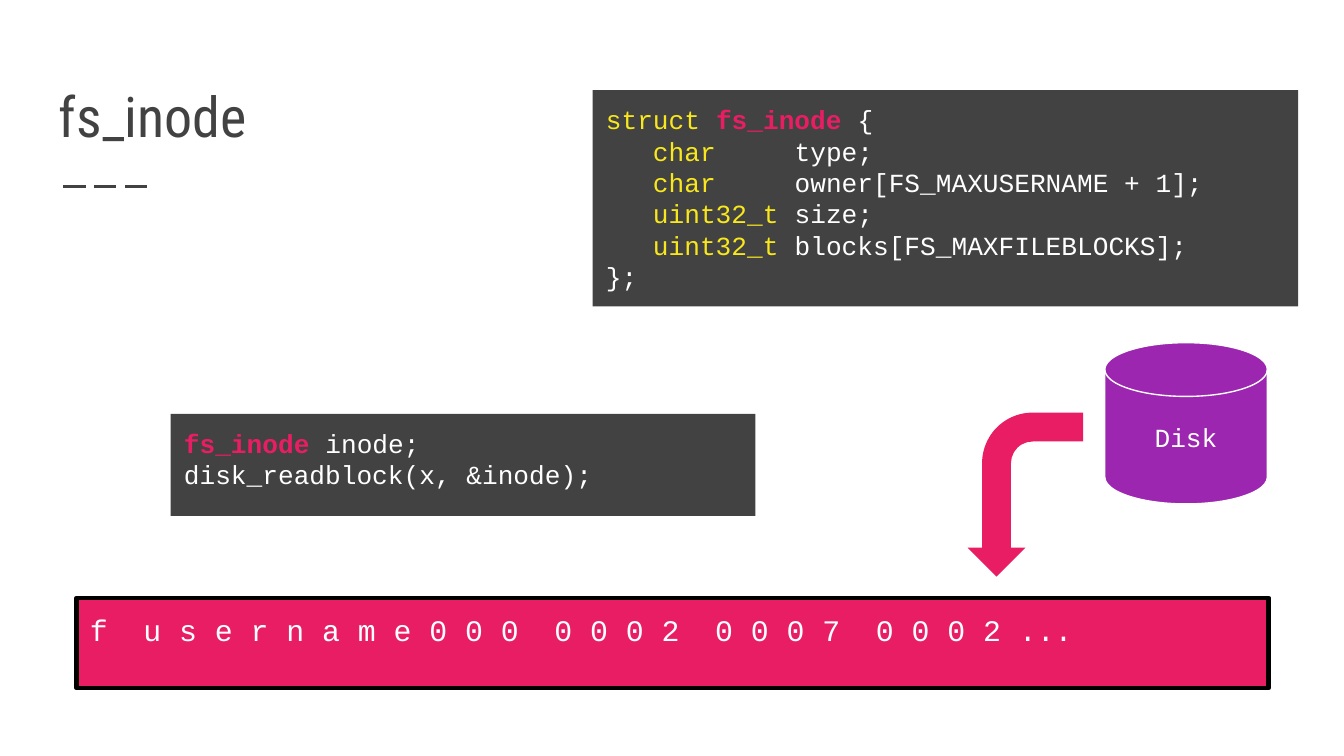
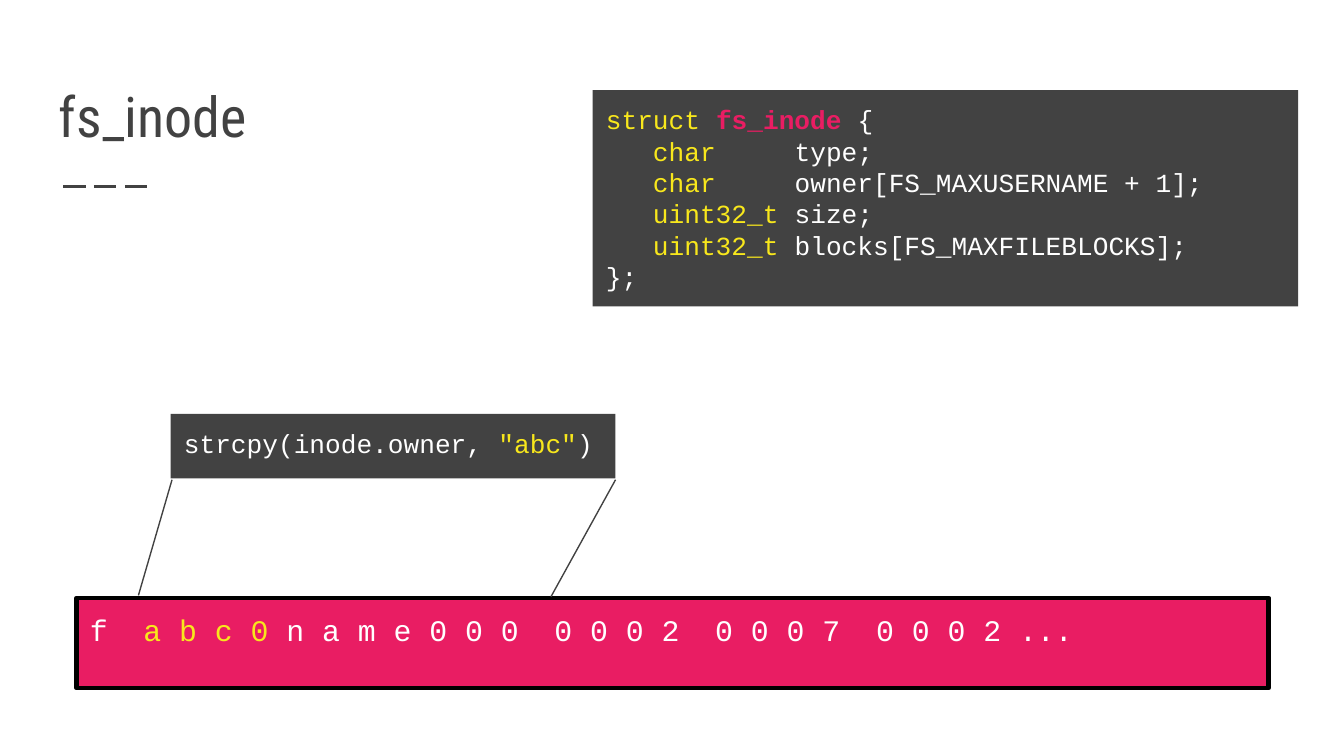
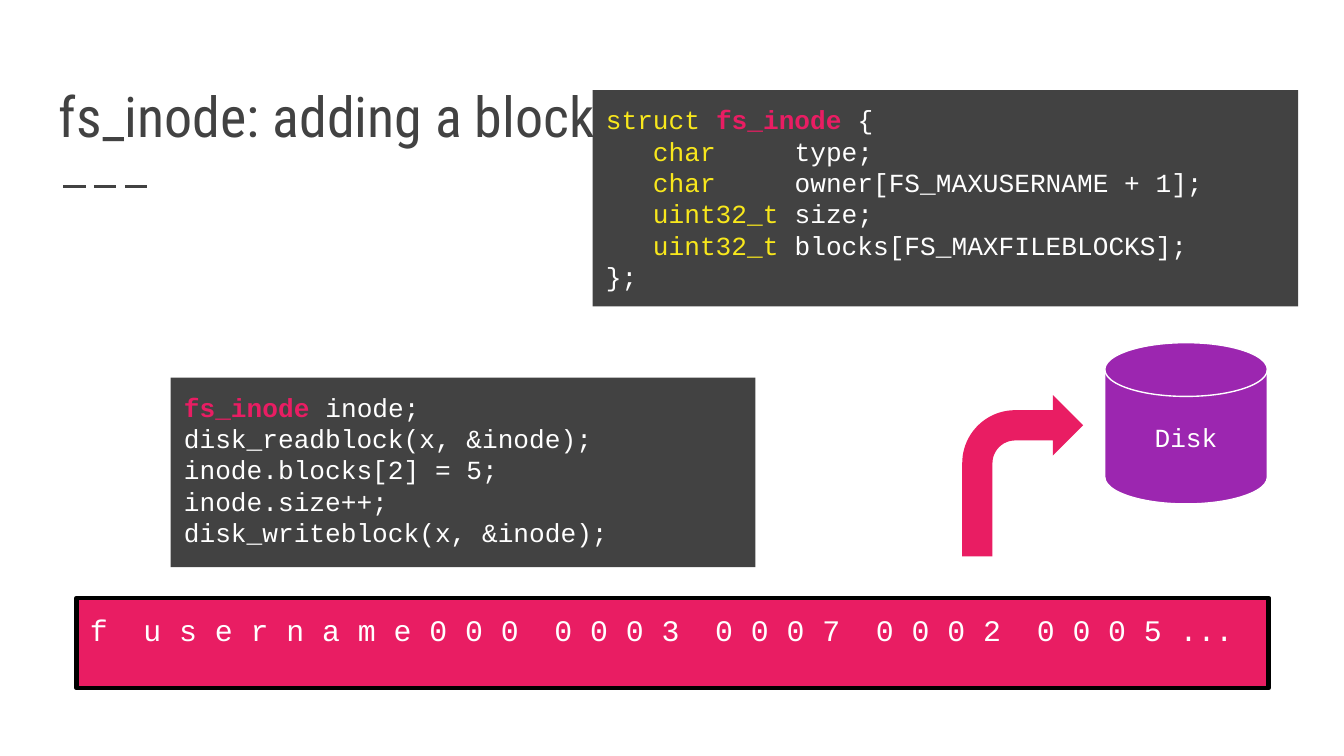
import pptx
import pptx.util
import pptx.dml.color
import pptx.enum.dml
import pptx.enum.shapes
import pptx.enum.text
import pptx.oxml
import pptx.oxml.ns

Inches = pptx.util.Inches
Kind = pptx.enum.shapes.MSO_SHAPE
Anchor = pptx.enum.text.MSO_ANCHOR
Align = pptx.enum.text.PP_ALIGN

# Shared look
DARK, PINK, YELLOW = "424242", "E91D63", "F8E71C"
PURPLE, WHITE, BLACK = "9C26B0", "FFFFFF", "000000"
CODE, HEAD = "Courier New", "Roboto Condensed"

# Code: each line is a list of (text, colour) parts; pink names are bold
STRUCT = [
    [("struct ", YELLOW), ("fs_inode ", PINK), ("{", WHITE)],
    [("   char     ", YELLOW), ("type;", WHITE)],
    [("   char     ", YELLOW), ("owner[FS_MAXUSERNAME + 1];", WHITE)],
    [("   uint32_t ", YELLOW), ("size;", WHITE)],
    [("   uint32_t ", YELLOW), ("blocks[FS_MAXFILEBLOCKS];", WHITE)],
    [("};", WHITE)],
]
READ = [
    [("fs_inode", PINK), (" inode;", WHITE)],
    [("disk_readblock(x, &inode);", WHITE)],
]
COPY = [[("strcpy(inode.owner, ", WHITE), ('"abc"', YELLOW), (")", WHITE)]]
WRITE = READ + [
    [(line, WHITE)] for line in (
        "inode.blocks[2] = 5;", "inode.size++;", "disk_writeblock(x, &inode);")
]


def color(code):
    return pptx.dml.color.RGBColor.from_string(code)


def write(shape, lines, size=14, font=CODE, align=Align.LEFT,
          anchor=Anchor.TOP, right=0.1):
    frame = shape.text_frame
    frame.word_wrap = True
    frame.vertical_anchor = anchor
    frame.margin_left = frame.margin_top = frame.margin_bottom = Inches(0.1)
    frame.margin_right = Inches(right)
    for i, line in enumerate(lines):
        para = frame.add_paragraph() if i else frame.paragraphs[0]
        para.alignment = align
        for text, tint in line:
            run = para.add_run()
            run.text = text
            run.font.name = font
            run.font.size = pptx.util.Pt(size)
            run.font.bold = tint == PINK
            run.font.color.rgb = color(tint)


def add_box(slide, kind, at, fill, line=None, width=0.75):
    shape = slide.shapes.add_shape(kind, *map(Inches, at))
    shape.shadow.inherit = False
    shape.fill.solid()
    shape.fill.fore_color.rgb = color(fill)
    if line:
        shape.line.color.rgb = color(line)
        shape.line.width = pptx.util.Pt(width)
    else:
        shape.line.fill.background()
    return shape


def add_line(slide, start, end, width=0.75, dash=None):
    link = slide.shapes.add_connector(
        pptx.enum.shapes.MSO_CONNECTOR.STRAIGHT, *map(Inches, start + end))
    link.line.color.rgb = color(DARK)
    link.line.width = pptx.util.Pt(width)
    if dash:
        link.line.dash_style = dash
    link.element.spPr.append(pptx.oxml.parse_xml(
        "<a:effectLst %s/>" % pptx.oxml.ns.nsdecls("a")))


def add_code(slide, at, lines):
    write(add_box(slide, Kind.RECTANGLE, at, DARK), lines)


def add_bytes(slide, *parts):
    bar = add_box(slide, Kind.RECTANGLE, (0.57, 4.45, 8.87, 0.67),
                  PINK, BLACK, 2.5)
    write(bar, [parts], size=16, right=0)


def add_disk(slide):
    disk = add_box(slide, Kind.FLOWCHART_MAGNETIC_DISK,
                   (8.22, 2.55, 1.21, 1.2), PURPLE, WHITE)
    write(disk, [[("Disk", WHITE)]], align=Align.CENTER, anchor=Anchor.MIDDLE)


def add_bend(slide, at, down=False):
    bend = add_box(slide, Kind.BENT_ARROW, at, PINK)
    if down:
        bend.rotation = 270
        bend.element.spPr.find(pptx.oxml.ns.qn("a:xfrm")).set("flipH", "1")


def add_slide(deck, title):
    slide = deck.slides.add_slide(deck.slide_layouts[6])
    add_line(slide, (0.47, 1.39), (1.14, 1.39), 1.5,
             pptx.enum.dml.MSO_LINE.LONG_DASH)
    box = slide.shapes.add_textbox(*map(Inches, (0.34, 0.41, 9.32, 0.8)))
    write(box, [[(title, DARK)]], size=30, font=HEAD, anchor=Anchor.BOTTOM)
    add_code(slide, (4.41, 0.67, 5.25, 1.61), STRUCT)
    return slide


def main():
    # Wide page, 16 to 9
    deck = pptx.Presentation()
    deck.slide_width = Inches(10)
    deck.slide_height = Inches(10) * 9 // 16

    # Reading an inode from disk
    slide = add_slide(deck, "fs_inode")
    add_bytes(slide, (
        "f  u s e r n a m e 0 0 0  0 0 0 2  0 0 0 7  0 0 0 2 ...", WHITE))
    add_code(slide, (1.27, 3.08, 4.35, 0.76), READ)
    add_disk(slide)
    add_bend(slide, (7.02, 3.25, 1.22, 0.86), down=True)

    # Changing the owner
    slide = add_slide(deck, "fs_inode")
    add_bytes(slide, ("f  ", WHITE), ("a b c 0", YELLOW),
              (" n a m e 0 0 0  0 0 0 2  0 0 0 7  0 0 0 2 ...", WHITE))
    add_code(slide, (1.27, 3.08, 3.31, 0.48), COPY)
    add_line(slide, (1.28, 3.57), (1.03, 4.43))
    add_line(slide, (4.58, 3.57), (4.1, 4.44))

    # Adding a block and writing back
    slide = add_slide(deck, "fs_inode: adding a block")
    add_bytes(slide, (
        "f  u s e r n a m e 0 0 0  0 0 0 3  0 0 0 7  0 0 0 2  0 0 0 5 ...",
        WHITE))
    add_code(slide, (1.27, 2.81, 4.35, 1.41), WRITE)
    add_disk(slide)
    add_bend(slide, (7.16, 2.94, 0.9, 1.2))

    deck.save("out.pptx")


if __name__ == "__main__":
    main()
